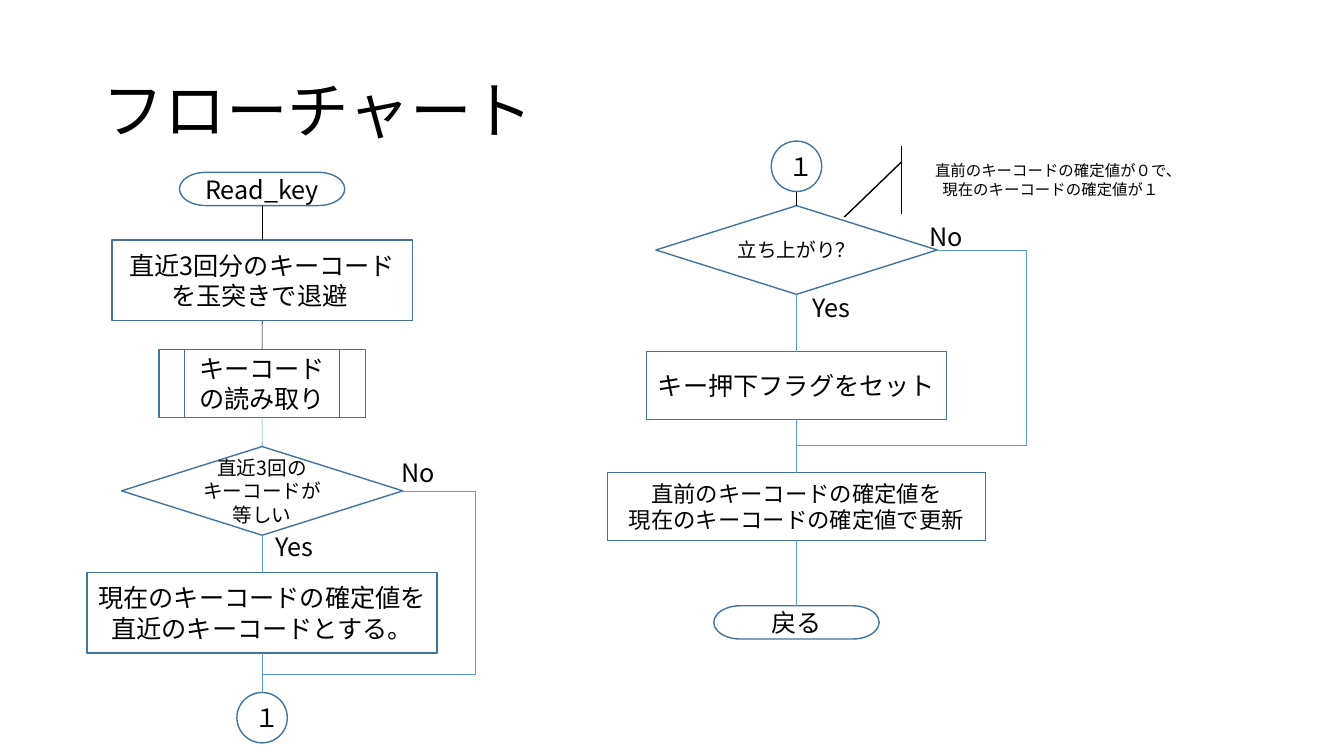
from lxml import etree
from pptx import Presentation, util as u
from pptx.dml.color import RGBColor
from pptx.enum import shapes, text
from pptx.oxml.ns import qn

MSO = shapes.MSO_SHAPE
BLACK, OUTLINE, FLOW = "000000", "43739E", "5B9BD5"
LEFT, RIGHT = 2.6, 7.9  # centre lines of the two columns


def rgb(value):
    return RGBColor.from_string(value)


class FlowSlide:
    font = "Noto Sans CJK JP"

    def __init__(self, prs):
        self.s = prs.slides.add_slide(prs.slide_layouts[5])

    def set_text(self, tf, content, size, align):
        tf.text = content
        for p in tf.paragraphs:
            p.alignment = align
            for r in p.runs:
                r.font.size = u.Pt(size)
                r.font.name = self.font
                r.font.color.rgb = rgb(BLACK)
                ea = etree.SubElement(r.font._element, qn("a:ea"))
                ea.set("typeface", self.font)

    def title(self, content):
        sp = self.s.shapes.title
        sp.left, sp.top, sp.width, sp.height = map(u.Inches, (0.92, 0.4, 11.5, 1.45))
        tf = sp.text_frame
        tf.auto_size = text.MSO_AUTO_SIZE.NONE
        tf.vertical_anchor = text.MSO_ANCHOR.MIDDLE
        self.set_text(tf, content, 44, text.PP_ALIGN.LEFT)
        tf.paragraphs[0].line_spacing = 0.9

    def node(self, kind, cx, top, w, h, content, size=18, color=OUTLINE):
        """Add an outlined shape centred on cx."""
        sp = self.s.shapes.add_shape(
            kind, *map(u.Inches, (cx - w / 2, top, w, h)))
        sp.shadow.inherit = False
        sp.fill.background()
        sp.line.color.rgb = rgb(color)
        sp.line.width = u.Pt(1)
        sp.text_frame.word_wrap = True
        sp.text_frame.vertical_anchor = text.MSO_ANCHOR.MIDDLE
        self.set_text(sp.text_frame, content, size, text.PP_ALIGN.CENTER)
        return sp

    def line(self, kind, start, end, color=FLOW):
        c = self.s.shapes.add_connector(kind, *map(u.Inches, (*start, *end)))
        c.line.color.rgb = rgb(color)
        c.line.width = u.Pt(0.5)
        etree.SubElement(c._element.spPr, qn("a:effectLst"))
        return c

    def link(self, upper, lower, color=FLOW):
        """Join the bottom of one shape to the top of the next."""
        x = (upper.left + upper.width / 2) / u.Inches(1)
        start = x, (upper.top + upper.height) / u.Inches(1)
        c = self.line(shapes.MSO_CONNECTOR.STRAIGHT, start,
                      (x, lower.top / u.Inches(1)), color)
        # A circle numbers its sides differently, so its bottom stays free.
        if upper.auto_shape_type != MSO.FLOWCHART_CONNECTOR:
            c.begin_connect(upper, 2)
        c.end_connect(lower, 0)

    def bypass(self, start, turn_x, end):
        """Run right to turn_x, down, and back left to end."""
        c = self.line(shapes.MSO_CONNECTOR.ELBOW, start, end)
        geom = c._element.spPr.find(qn("a:prstGeom"))
        geom.set("prst", "bentConnector4")
        guides = geom.find(qn("a:avLst"))
        if guides is None:
            guides = etree.SubElement(geom, qn("a:avLst"))
        ratio = (start[0] - turn_x) / (start[0] - end[0])
        for name, value in (("adj1", ratio), ("adj2", 1)):
            etree.SubElement(guides, qn("a:gd"), name=name,
                             fmla=f"val {round(value * 100000)}")

    def label(self, x, y, w, content):
        tf = self.s.shapes.add_textbox(
            *map(u.Inches, (x, y, w, 0.4))).text_frame
        tf.word_wrap = False
        tf.auto_size = text.MSO_AUTO_SIZE.SHAPE_TO_FIT_TEXT
        self.set_text(tf, content, 18, text.PP_ALIGN.LEFT)


def main():
    prs = Presentation()
    prs.slide_width, prs.slide_height = u.Inches(13.33), u.Inches(7.5)
    flow = FlowSlide(prs)
    flow.title("フローチャート")

    # kind, top, width, height, text, text size, colour of the line below
    left_steps = [
        (MSO.FLOWCHART_TERMINATOR, 1.71, 1.64, 0.33, "Read_key", 18, BLACK),
        (MSO.FLOWCHART_PROCESS, 2.38, 2.98, 0.8,
         "直近3回分のキーコードを玉突きで退避 ", 18, BLACK),
        (MSO.FLOWCHART_PREDEFINED_PROCESS, 3.47, 2.05, 0.67,
         "キーコードの読み取り", 18, FLOW),
        (MSO.FLOWCHART_DECISION, 4.43, 2.79, 0.88,
         "直近3回の\nキーコードが等しい", 14, FLOW),
        (MSO.FLOWCHART_PROCESS, 5.68, 3.47, 0.8,
         "現在のキーコードの確定値を直近のキーコードとする。", 18, FLOW),
        (MSO.FLOWCHART_CONNECTOR, 6.87, 0.5, 0.5, "１", 18, None),
    ]
    right_steps = [
        (MSO.FLOWCHART_CONNECTOR, 1.4, 0.5, 0.5, "１", 18, BLACK),
        (MSO.FLOWCHART_DECISION, 2.04, 2.79, 0.88, "立ち上がり？", 14, FLOW),
        (MSO.FLOWCHART_PROCESS, 3.49, 2.98, 0.67,
         "キー押下フラグをセット", 18, FLOW),
        (MSO.FLOWCHART_PROCESS, 4.69, 3.75, 0.67,
         "直前のキーコードの確定値を\n現在のキーコードの確定値で更新", 16, FLOW),
        (MSO.FLOWCHART_TERMINATOR, 6.01, 1.64, 0.33, "戻る", 18, None),
    ]
    for cx, steps in ((LEFT, left_steps), (RIGHT, right_steps)):
        nodes = [flow.node(kind, cx, *rest) for kind, *rest, _ in steps]
        for upper, lower, step in zip(nodes, nodes[1:], steps):
            flow.link(upper, lower, step[-1])

    callout = flow.node(
        MSO.LINE_CALLOUT_1_ACCENT_BAR, 10.42, 1.45, 2.59, 0.67,
        "直前のキーコードの確定値が０で、\n現在のキーコードの確定値が１", 11, BLACK)
    for i, value in enumerate((0.23, -0.07, 1.05, -0.29)):
        callout.adjustments[i] = value

    flow.bypass((3.99, 4.87), 4.71, (LEFT, 6.69))
    flow.bypass((9.29, 2.48), 10.18, (RIGHT, 4.42))
    for x, y, w, answer in ((3.88, 4.49, 0.53, "No"), (9.12, 2.15, 0.53, "No"),
                            (2.63, 5.22, 0.63, "Yes"), (7.96, 2.85, 0.63, "Yes")):
        flow.label(x, y, w, answer)

    prs.save("out.pptx")


if __name__ == "__main__":
    main()
